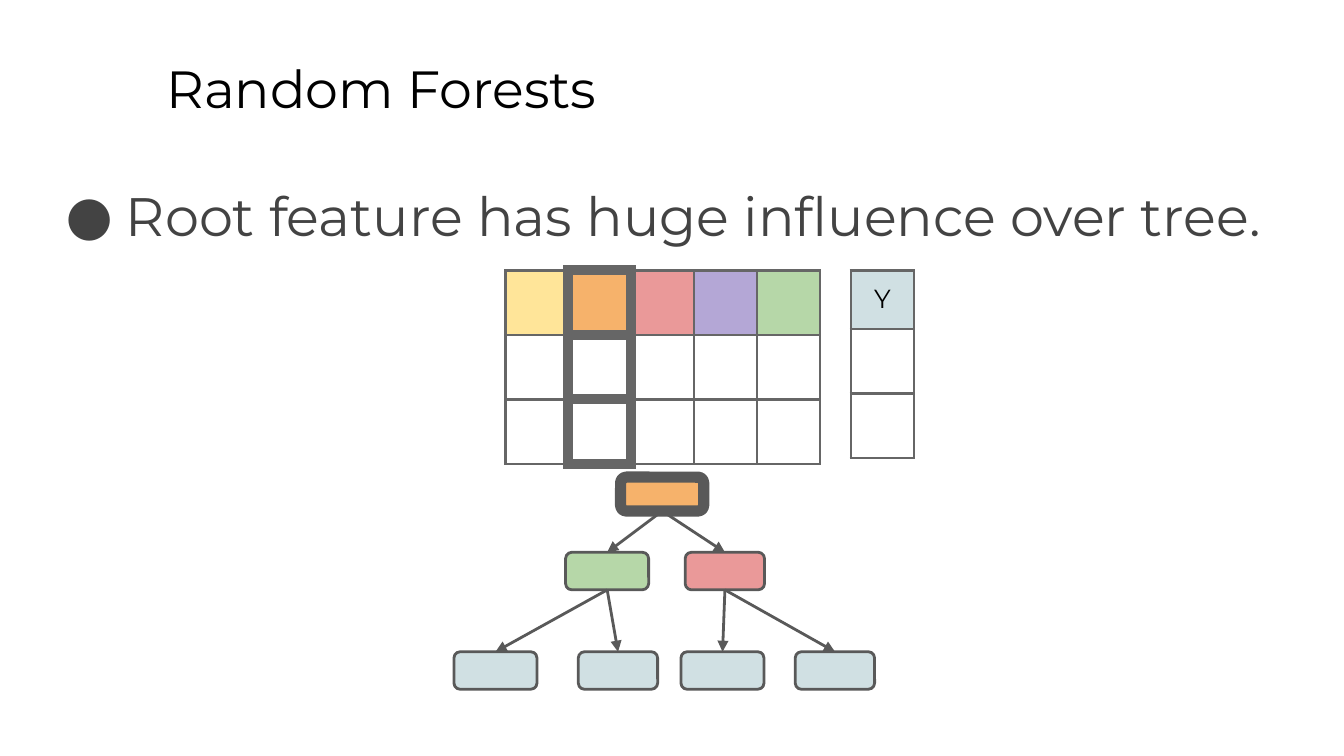
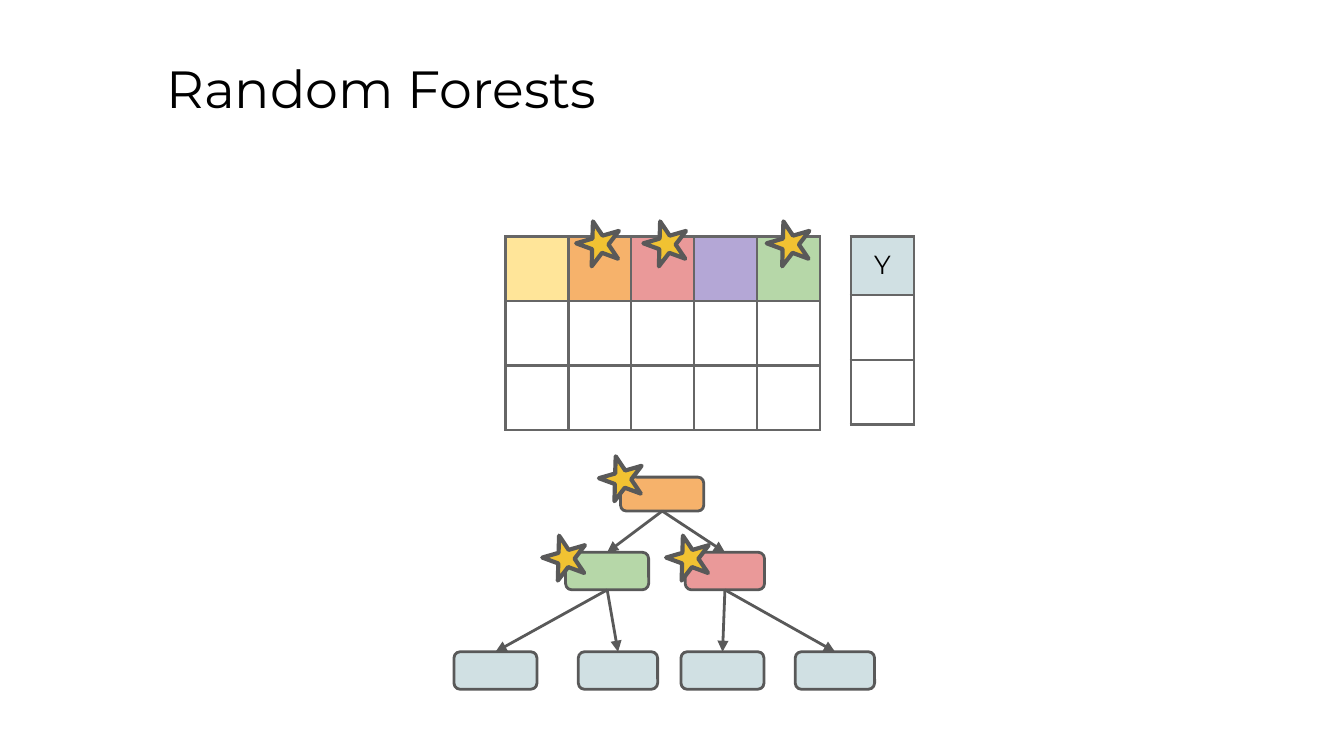
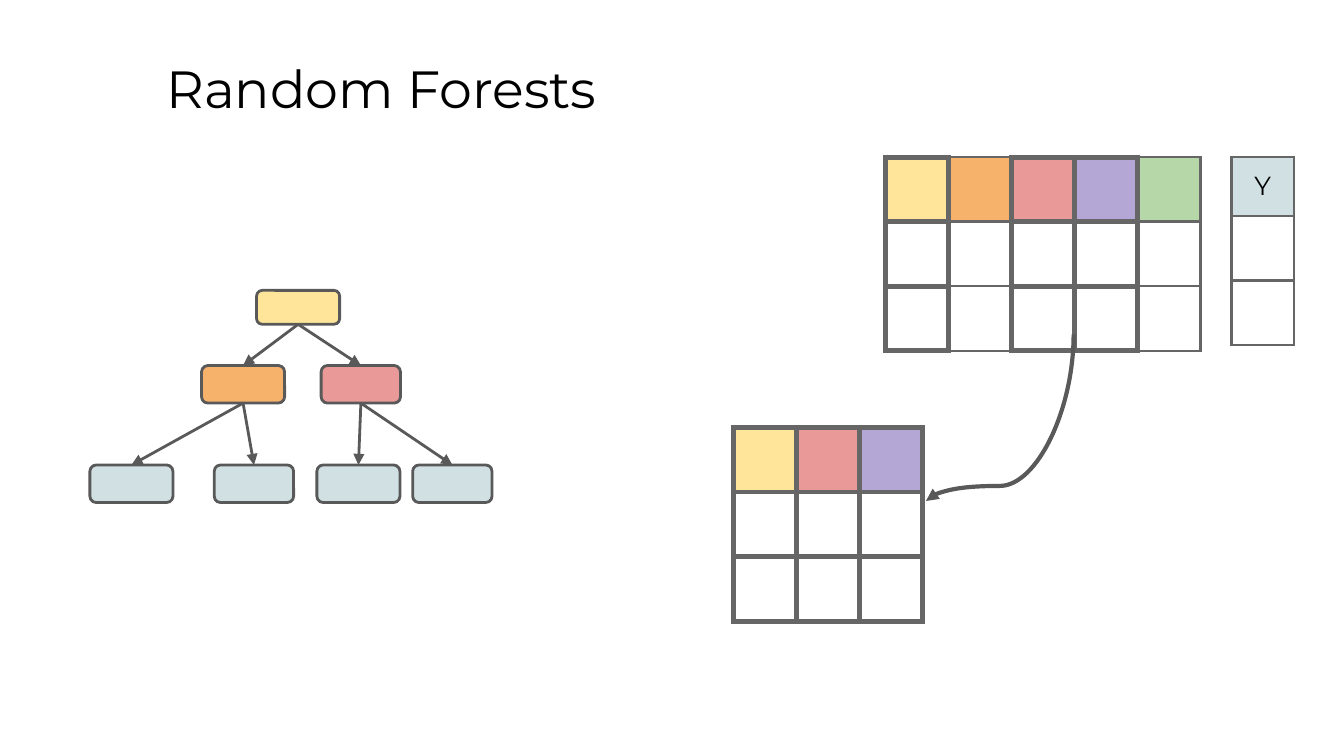
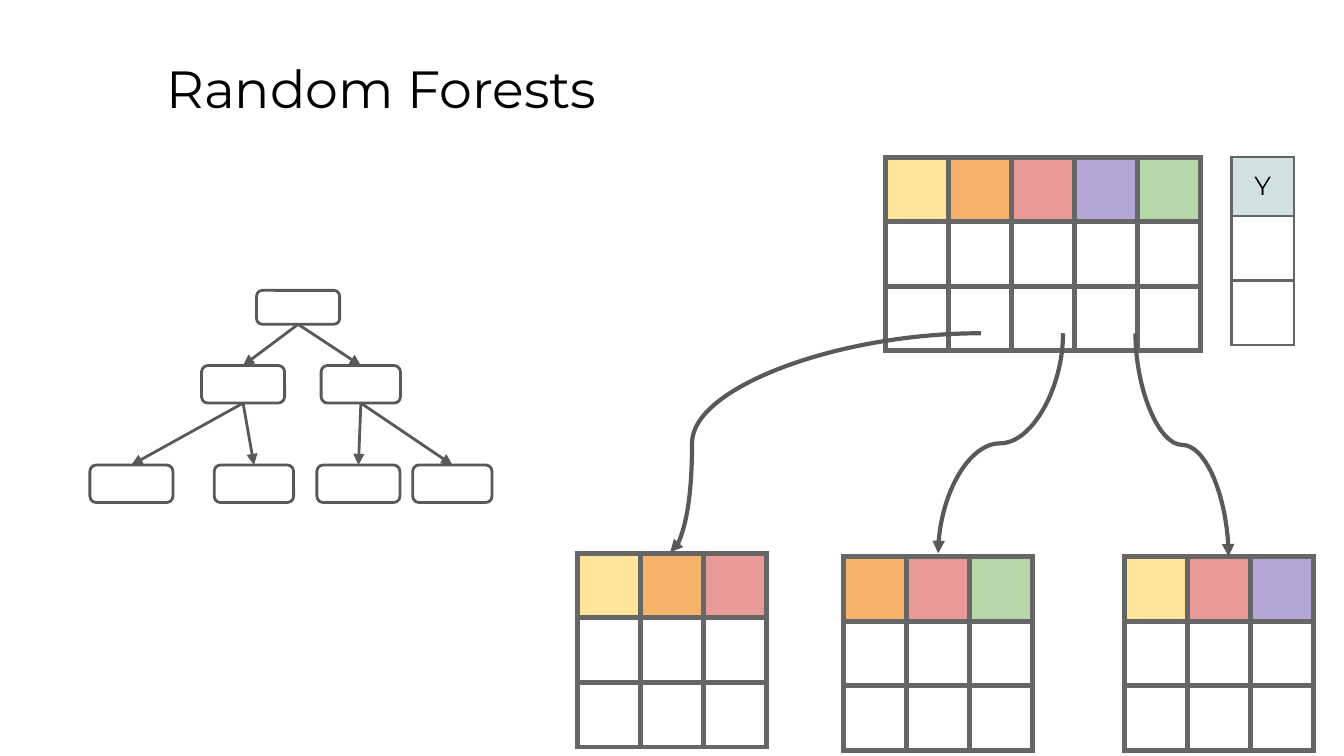
from pptx import Presentation
from pptx.dml.color import RGBColor
from pptx.enum.shapes import MSO_CONNECTOR as Connector, MSO_SHAPE as Shape
from pptx.enum.text import MSO_ANCHOR as Anchor, MSO_AUTO_SIZE as AutoSize, PP_ALIGN as Align
from pptx.oxml import parse_xml
from pptx.oxml.ns import nsdecls, qn
from pptx.util import Cm, Pt

COLOURS = {
    "yellow": "FFE599", "orange": "F6B26B", "red": "EA9999", "purple": "B4A7D6",
    "green": "B6D7A8", "target": "D0E0E3", "star": "F1C232",
    "outline": "595959", "border": "666666", "title": "000000", "body": "434343",
}
FEATURES = ["yellow", "orange", "red", "purple", "green"]
LEAVES = ["target"] * 4
FONT = "Montserrat"
TITLE = "Random Forests"
TITLE_BOX = {"left": Cm(2.9), "top": Cm(0.81), "width": Cm(21.64), "height": Cm(1.6)}
FRAME = {
    "word_wrap": True, "auto_size": AutoSize.NONE, "vertical_anchor": Anchor.TOP,
    "margin_left": Cm(0.25), "margin_right": Cm(0.25),
    "margin_top": Cm(0.25), "margin_bottom": Cm(0.25),
}
COLUMN_WIDTH, ROW_HEIGHT, TARGET_HEADER_HEIGHT = 1.19, 1.22, 1.11
TARGET_OFFSET = 6.53
NODE_WIDTHS = [1.57, 1.5]
ROOT_HEIGHT, NODE_HEIGHT = 0.64, 0.71

# A grid is left, top, header colours and a border weight for each column.
# A tree is root left, root top, last leaf offset, root weight and node colours.
# A curve is start, end, bend and whether it leaves sideways.
PAGES = [
    {
        "bullet": "Root feature has huge influence over tree.",
        "grids": [(9.55, 5.11, FEATURES, [1.5, 6, 1.5, 1.5, 1.5])],
        "tree": (11.73, 9.02, 3.3, 6, ["orange", "green", "red"] + LEAVES),
    },
    {
        "grids": [(9.55, 4.47, FEATURES, [1.5] * 5)],
        "tree": (11.73, 9.02, 3.3, 1.5, ["orange", "green", "red"] + LEAVES),
        "stars": [(10.9, 4.17), (12.17, 4.17), (14.5, 4.17),
                  (11.33, 8.61), (10.26, 10.11), (12.6, 10.11)],
    },
    {
        "grids": [(16.74, 2.97, FEATURES, [3, 1.5, 3, 3, 1.5]),
                  (13.87, 8.08, ["yellow", "red", "purple"], [3] * 3)],
        "tree": (4.85, 5.49, 2.95, 1.5, ["yellow", "orange", "red"] + LEAVES),
        "curves": [((20.29, 6.32), (17.5, 9.47), 0.91, False)],
    },
    {
        "grids": [(16.74, 2.97, FEATURES, [3] * 5),
                  (10.92, 10.46, ["yellow", "orange", "red"], [3] * 3),
                  (15.95, 10.52, ["orange", "red", "green"], [3] * 3),
                  (21.26, 10.52, ["yellow", "red", "purple"], [3] * 3)],
        "tree": (4.85, 5.49, 2.95, 1.5, [None] * 7),
        "curves": [((18.54, 6.3), (12.67, 10.44), 0.93, True),
                   ((20.09, 6.3), (17.73, 10.46), 0.5, False),
                   ((21.46, 6.3), (23.22, 10.52), 0.5, False)],
    },
]


def style_shape(shape, fill, weight):
    shape.shadow.inherit = False
    shape.line.color.rgb = RGBColor.from_string(COLOURS["outline"])
    shape.line.width = Pt(weight)
    if fill:
        shape.fill.solid()
        shape.fill.fore_color.rgb = RGBColor.from_string(COLOURS[fill])
    else:
        shape.fill.background()


def style_arrow(arrow, weight):
    arrow.line.color.rgb = RGBColor.from_string(COLOURS["outline"])
    arrow.line.width = Pt(weight)
    properties = arrow.element.spPr
    properties.find(qn("a:ln")).append(parse_xml(f'<a:tailEnd {nsdecls("a")} type="triangle"/>'))
    properties.append(parse_xml(f'<a:effectLst {nsdecls("a")}/>'))


deck = Presentation()
deck.slide_width, deck.slide_height = Cm(25.4), Cm(14.29)
title_only = deck.slide_layouts[5]

for content in PAGES:
    page = deck.slides.add_slide(title_only)
    title = page.shapes.title
    for name, value in TITLE_BOX.items():
        setattr(title, name, value)
    texts = [(title.text_frame, TITLE, 28, "title", Align.LEFT)]

    if "bullet" in content:
        body = page.shapes.add_textbox(Cm(0.86), Cm(3.2), Cm(24.13), Cm(9.5))
        bullet = body.text_frame.paragraphs[0]._p.get_or_add_pPr()
        bullet.set("marL", str(Cm(1.27)))
        bullet.set("indent", str(Cm(-1.14)))
        bullet.append(parse_xml(
            f'<a:buClr {nsdecls("a")}><a:srgbClr val="{COLOURS["body"]}"/></a:buClr>'))
        bullet.append(parse_xml(f'<a:buFont {nsdecls("a")} typeface="{FONT}"/>'))
        bullet.append(parse_xml(f'<a:buChar {nsdecls("a")} char="●"/>'))
        texts.append((body.text_frame, content["bullet"], 29, "body", Align.LEFT))

    # Decision tree
    root_left, root_top, last_leaf, root_weight, node_colours = content["tree"]
    offsets = [(0, 0), (-1.04, 1.42), (1.22, 1.42),
               (-3.15, 3.3), (-0.8, 3.3), (1.14, 3.3), (last_leaf, 3.3)]
    nodes = []
    for index, ((across, down), colour) in enumerate(zip(offsets, node_colours)):
        is_root = index == 0
        width = NODE_WIDTHS[0 if is_root else (index - 1) % 2]
        node = page.shapes.add_shape(
            Shape.ROUNDED_RECTANGLE, Cm(root_left + across), Cm(root_top + down),
            Cm(width), Cm(ROOT_HEIGHT if is_root else NODE_HEIGHT))
        style_shape(node, colour, root_weight if is_root else 1.5)
        nodes.append(node)
        if not is_root:
            branch = page.shapes.add_connector(Connector.STRAIGHT, 0, 0, 0, 0)
            branch.begin_connect(nodes[(index - 1) // 2], 2)
            branch.end_connect(node, 0)
            style_arrow(branch, 1.5)

    # Feature grids and the target column beside the first one
    main_left, main_top = content["grids"][0][:2]
    target = (main_left + TARGET_OFFSET, main_top, ["target"], [1.5])
    for left, top, header, weights in content["grids"] + [target]:
        count = len(header)
        table = page.shapes.add_table(
            3, count, Cm(left), Cm(top), Cm(COLUMN_WIDTH * count), Cm(ROW_HEIGHT * 3)).table
        table.first_row = table.horz_banding = False
        for row in table.rows:
            row.height = Cm(ROW_HEIGHT)
        for column, (colour, weight) in enumerate(zip(header, weights)):
            table.columns[column].width = Cm(COLUMN_WIDTH)
            sides = {
                "lnL": max(weights[max(column - 1, 0):column + 1]),
                "lnR": max(weights[column:column + 2]),
                "lnT": weight,
                "lnB": weight,
            }
            for row in range(3):
                cell = table.cell(row, column)
                cell_properties = cell._tc.get_or_add_tcPr()
                for side, side_weight in sides.items():
                    cell_properties.append(parse_xml(
                        f'<a:{side} {nsdecls("a")} w="{Pt(side_weight)}"><a:solidFill>'
                        f'<a:srgbClr val="{COLOURS["border"]}"/></a:solidFill></a:{side}>'))
                if row == 0:
                    cell.fill.solid()
                    cell.fill.fore_color.rgb = RGBColor.from_string(COLOURS[colour])
                else:
                    cell.fill.background()
        if header == ["target"]:
            table.rows[0].height = Cm(TARGET_HEADER_HEIGHT)
            label = table.cell(0, 0)
            label.margin_top = label.margin_bottom = Cm(0.25)
            texts.append((label.text_frame, "Y", 14, "title", Align.CENTER))

    # Curved arrows; one that leaves downwards is laid sideways and then turned
    for (start_x, start_y), (end_x, end_y), bend, sideways in content.get("curves", []):
        turn = 0
        if not sideways:
            turn = 90 if end_x < start_x else 270
            centre_x, centre_y = (start_x + end_x) / 2, (start_y + end_y) / 2
            half_width = (end_y - start_y) / 2 * (1 if turn == 90 else -1)
            half_height = abs(end_x - start_x) / 2
            start_x, end_x = centre_x - half_width, centre_x + half_width
            start_y, end_y = centre_y - half_height, centre_y + half_height
        curve = page.shapes.add_connector(
            Connector.CURVE, Cm(start_x), Cm(start_y), Cm(end_x), Cm(end_y))
        style_arrow(curve, 2.25)
        curve_properties = curve.element.spPr
        if turn:
            curve_properties.find(qn("a:xfrm")).set("rot", str(turn * 60000))
        geometry = curve_properties.find(qn("a:prstGeom"))
        geometry.find(qn("a:avLst")).append(parse_xml(
            f'<a:gd {nsdecls("a")} name="adj1" fmla="val {round(bend * 100000)}"/>'))

    for left, top in content.get("stars", []):
        star = page.shapes.add_shape(
            Shape.STAR_5_POINT, Cm(left), Cm(top), Cm(0.84), Cm(0.81))
        star.rotation = 343.8
        style_shape(star, "star", 2.25)

    for frame, text, size, colour, alignment in texts:
        if text != "Y":
            for name, value in FRAME.items():
                setattr(frame, name, value)
        para = frame.paragraphs[0]
        para.alignment = alignment
        span = para.add_run()
        span.text = text
        for name, value in {"name": FONT, "size": Pt(size)}.items():
            setattr(span.font, name, value)
        span.font.color.rgb = RGBColor.from_string(COLOURS[colour])

deck.save("out.pptx")
